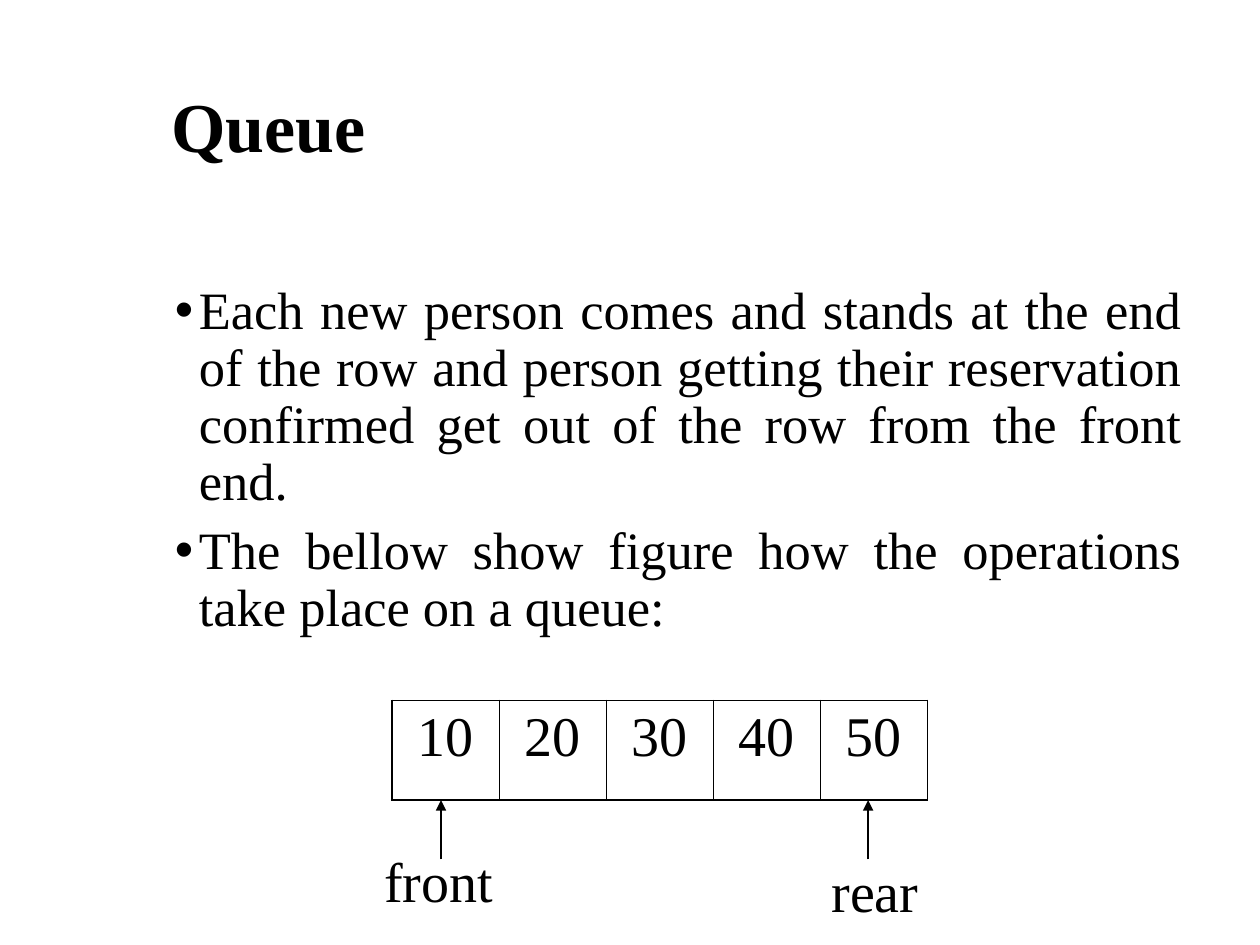
from lxml import etree
from pptx import Presentation, util as u
from pptx.dml.color import RGBColor
from pptx.enum import shapes, text
from pptx.oxml.ns import qn

BLACK = RGBColor(0x00, 0x00, 0x00)
COLUMNS, ROWS = 10, 7.5
THIN, THICK = 0.45, 1.08


class QueueSlide:
    """Style and current slide; lengths are columns and rows of the grid."""

    font_name = "Times New Roman"
    color = BLACK

    def __init__(self, presentation):
        self.column = presentation.slide_width / COLUMNS
        self.row = presentation.slide_height / ROWS
        self.slide = presentation.slides.add_slide(presentation.slide_layouts[5])

    def place(self, left, top, width, height):
        return (u.Emu(round(left * self.column)), u.Emu(round(top * self.row)),
                u.Emu(round(width * self.column)), u.Emu(round(height * self.row)))

    def format(self, paragraph, size, align=text.PP_ALIGN.LEFT, bold=False):
        paragraph.alignment = align
        for run in paragraph.runs:
            run.font.name = self.font_name
            run.font.size = u.Pt(size)
            run.font.bold = bold
            run.font.color.rgb = self.color

    def title(self, words, area):
        shape = self.slide.shapes.title
        shape.left, shape.top, shape.width, shape.height = self.place(*area)
        frame = shape.text_frame
        frame.text = words
        frame.auto_size = text.MSO_AUTO_SIZE.NONE
        frame.vertical_anchor = text.MSO_ANCHOR.MIDDLE
        frame.paragraphs[0].line_spacing = 0.9
        self.format(frame.paragraphs[0], 40, bold=True)

    def text_box(self, words, area):
        frame = self.slide.shapes.add_textbox(*self.place(*area)).text_frame
        frame.word_wrap = True
        frame.text = words
        return frame

    def bullets(self, items, area):
        frame = self.text_box("\n".join(items), area)
        for paragraph in frame.paragraphs:
            self.format(paragraph, 30, text.PP_ALIGN.JUSTIFY)
            paragraph.line_spacing = 0.9
            paragraph.space_before = u.Pt(7.5)
            properties = paragraph._p.get_or_add_pPr()
            indent = u.Inches(0.19)
            properties.set("marL", str(indent))
            properties.set("indent", str(-indent))
            etree.SubElement(properties, qn("a:buFont"), typeface="Arial")
            etree.SubElement(properties, qn("a:buChar"), char="•")

    def label(self, words, area):
        frame = self.text_box(words, area)
        frame.vertical_anchor = text.MSO_ANCHOR.BOTTOM
        self.format(frame.paragraphs[0], 32)

    def border(self, cell, side, width):
        line = etree.SubElement(cell._tc.get_or_add_tcPr(), qn(f"a:ln{side}"),
                                w=str(u.Pt(width)))
        fill = etree.SubElement(line, qn("a:solidFill"))
        etree.SubElement(fill, qn("a:srgbClr"), val=str(self.color))

    def queue_table(self, values, area):
        frame = self.slide.shapes.add_table(1, len(values), *self.place(*area))
        table = frame.table
        table.first_row = table.horz_banding = False
        last = len(values) - 1
        for index, value in enumerate(values):
            cell = table.cell(0, index)
            cell.text = str(value)
            self.format(cell.text_frame.paragraphs[0], 32, text.PP_ALIGN.CENTER)
            self.border(cell, "L", THICK if index == 0 else THIN)
            self.border(cell, "R", THICK if index == last else THIN)
            self.border(cell, "T", THICK)
            self.border(cell, "B", THICK)
            cell.fill.background()

    def up_arrow(self, x, bottom, top):
        start_x, start_y, end_x, end_y = self.place(x, bottom, x, top)
        arrow = self.slide.shapes.add_connector(
            shapes.MSO_CONNECTOR.STRAIGHT, start_x, start_y, end_x, end_y)
        arrow.line.color.rgb = self.color
        arrow.line.width = u.Pt(0.75)
        etree.SubElement(arrow.line._get_or_add_ln(), qn("a:tailEnd"), type="triangle")
        etree.SubElement(arrow._element.spPr, qn("a:effectLst"))


def main():
    presentation = Presentation()
    presentation.slide_width, presentation.slide_height = u.Inches(10), u.Inches(7.5)
    slide = QueueSlide(presentation)
    slide.title("Queue", (1.26, 0.23, 8.52, 1.6))
    slide.bullets([
        "Each new person comes and stands at the end of the row and person getting "
        "their reservation confirmed get out of the row from the front end.",
        "The bellow show figure how the operations take place on a queue:",
    ], (1.29, 2.21, 8.19, 3.51))
    table_top, table_height = 5.56, 0.79
    slide.queue_table(range(10, 60, 10), (3.11, table_top, 4.25, table_height))
    for x in (3.5, 6.89):
        slide.up_arrow(x, 6.82, table_top + table_height)
    slide.label("front", (2.95, 6.66, 1.1, 0.64))
    slide.label("rear", (6.5, 6.74, 0.94, 0.64))
    presentation.save("out.pptx")


if __name__ == "__main__":
    main()
